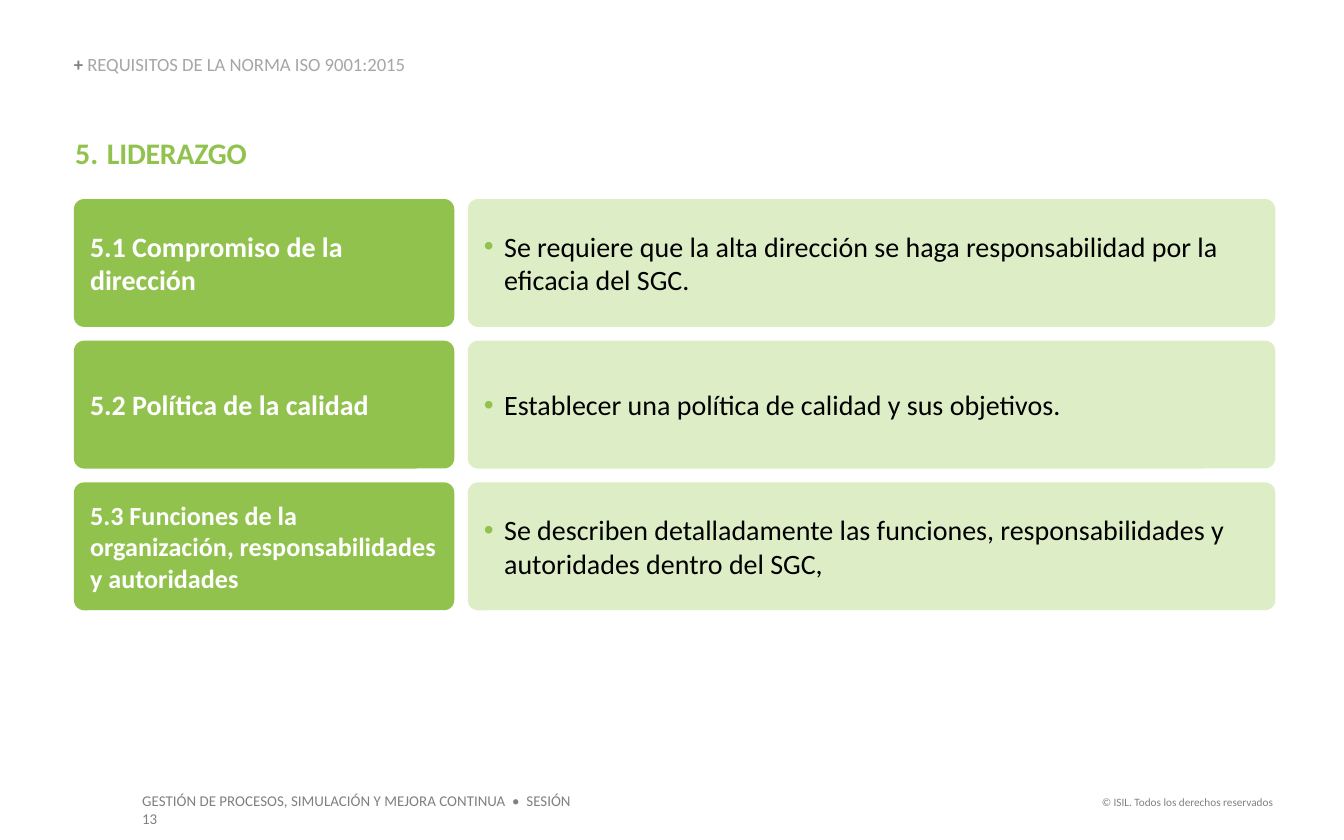
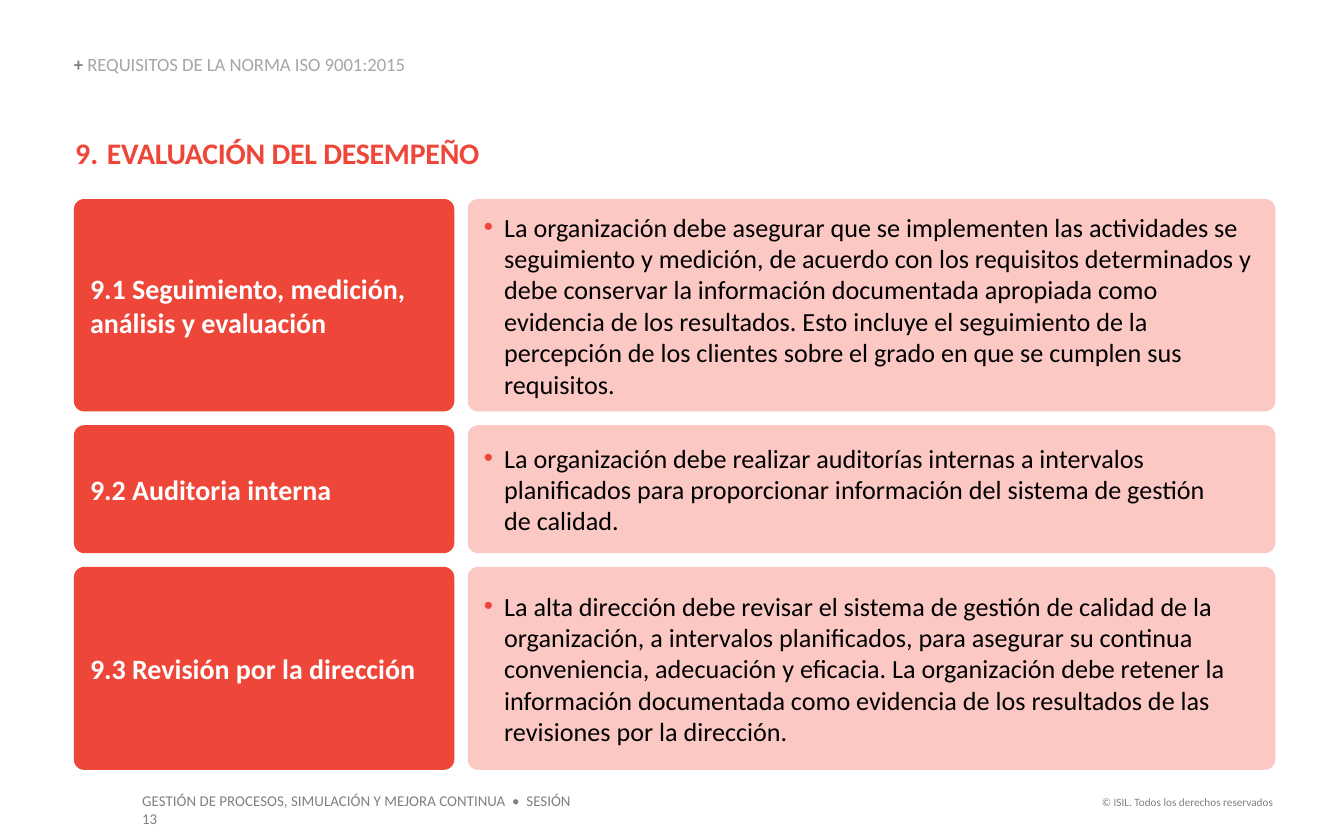
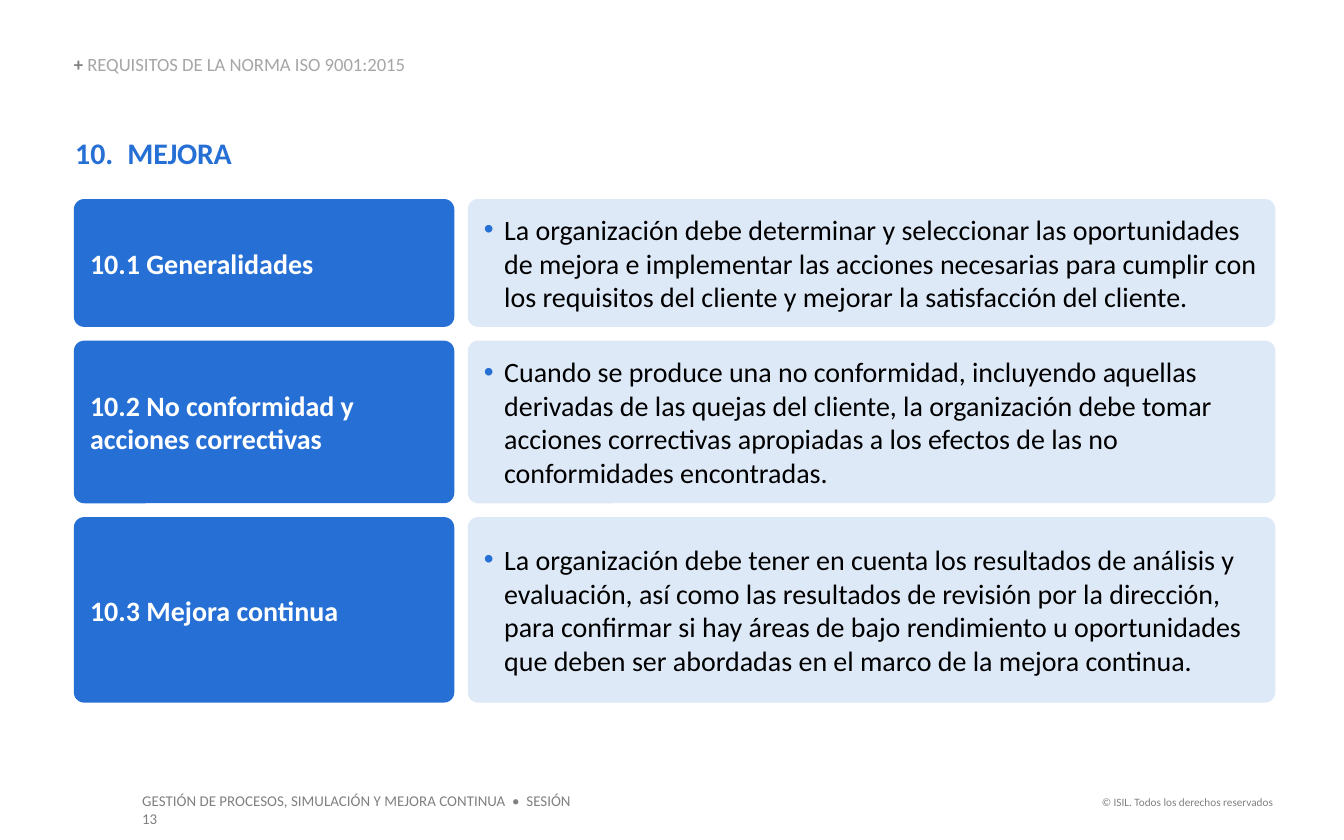
from dataclasses import dataclass

from lxml.etree import SubElement
from pptx import Presentation
from pptx.dml.color import RGBColor
from pptx.enum.shapes import MSO_SHAPE
from pptx.enum.text import MSO_ANCHOR, PP_ALIGN
from pptx.oxml.ns import qn
from pptx.util import Pt


@dataclass(frozen=True)
class Theme:
    font: str = "Calibri"
    white: str = "FFFFFF"
    black: str = "000000"
    gray: str = "808080"
    light_gray: str = "A6A6A6"
    green: str = "92C24E"
    pale_green: str = "DDEEC7"
    red: str = "EE4639"
    pale_red: str = "FBC8C4"
    blue: str = "2670D5"
    title_size: float = 16
    large_size: float = 15
    medium_size: float = 14
    header_size: float = 10
    footer_size: float = 8
    rights_size: float = 6


THEME = Theme()


@dataclass(frozen=True)
class Box:
    left: float
    top: float
    width: float
    height: float

    def lengths(self):
        return Pt(self.left), Pt(self.top), Pt(self.width), Pt(self.height)


@dataclass(frozen=True)
class Row:
    height: float
    label: str
    body: str
    label_size: float = THEME.large_size


@dataclass(frozen=True)
class Section:
    number: int
    title: str
    title_indent: float
    color: str
    tint: str
    rows: tuple
    body_size: float = THEME.large_size
    tint_opacity: int = 100


HEADER_BOX = Box(39.6, 29.5, 334.8, 10.8)
TITLE_BOX = Box(40.3, 72, 643, 19.4)
ROWS_BOX = Box(39.6, 106.6, 643.6, 304)
FOOTER_BOX = Box(69.1, 420.5, 254.2, 17.3)
RIGHTS_BOX = Box(581, 422.6, 108, 14.4)
LABEL_WIDTH = 203.8
COLUMN_GAP = 7.2
ROW_GAP = 7.4
CORNER_RADIUS = 5.5
BULLET_INDENT = 10.8

SECTIONS = (
    Section(5, "LIDERAZGO", 17, THEME.green, THEME.pale_green, (
        Row(68.5, "5.1 Compromiso de la dirección",
            "Se requiere que la alta dirección se haga responsabilidad por la eficacia del SGC."),
        Row(68.5, "5.2 Política de la calidad",
            "Establecer una política de calidad y sus objetivos."),
        Row(68.5, "5.3 Funciones de la organización, responsabilidades\ny autoridades",
            "Se describen detalladamente las funciones, responsabilidades y autoridades "
            "dentro del SGC,", THEME.medium_size),
    )),
    Section(9, "EVALUACIÓN DEL DESEMPEÑO", 17, THEME.red, THEME.pale_red, (
        Row(113.8, "9.1 Seguimiento, medición, análisis y evaluación",
            "La organización debe asegurar que se implementen las actividades se seguimiento y "
            "medición, de acuerdo con los requisitos determinados y debe conservar la información "
            "documentada apropiada como evidencia de los resultados. Esto incluye el seguimiento "
            "de la percepción de los clientes sobre el grado en que se cumplen sus requisitos."),
        Row(68.5, "9.2 Auditoria interna",
            "La organización debe realizar auditorías internas a intervalos planificados para "
            "proporcionar información del sistema de gestión \vde calidad."),
        Row(108.7, "9.3 Revisión por la dirección",
            "La alta dirección debe revisar el sistema de gestión de calidad de la organización, "
            "a intervalos planificados, para asegurar su continua conveniencia, adecuación y "
            "eficacia. La organización debe retener la información documentada como evidencia de "
            "los resultados de las revisiones por la dirección."),
    ), body_size=THEME.medium_size),
    Section(10, "MEJORA", 28, THEME.blue, THEME.blue, (
        Row(68.5, "10.1 Generalidades",
            "La organización debe determinar y seleccionar las oportunidades de mejora e "
            "implementar las acciones necesarias para cumplir con los requisitos del cliente y "
            "mejorar la satisfacción del cliente."),
        Row(87.1, "10.2 No conformidad y acciones correctivas",
            "Cuando se produce una no conformidad, incluyendo aquellas derivadas de las quejas "
            "del cliente, la organización debe tomar acciones correctivas apropiadas a los "
            "efectos de las no conformidades encontradas."),
        Row(99.4, "10.3 Mejora continua",
            "La organización debe tener en cuenta los resultados de análisis y evaluación, así "
            "como las resultados de revisión por la dirección, para confirmar si hay áreas de "
            "bajo rendimiento u oportunidades que deben ser abordadas en el marco de la mejora "
            "continua."),
    ), tint_opacity=15),
)


def style_span(span, size, color, bold=False):
    span.font.name = THEME.font
    span.font.size = Pt(size)
    span.font.bold = bold
    span.font.color.rgb = RGBColor.from_string(color)


def style_frame(frame, size, color, bold=False, align=PP_ALIGN.LEFT):
    for para in frame.paragraphs:
        para.alignment = align
        for span in para.runs:
            style_span(span, size, color, bold)


def set_indent(para, indent):
    properties = para._p.get_or_add_pPr()
    properties.set("marL", str(Pt(indent)))
    properties.set("indent", str(-Pt(indent)))
    return properties


def add_text(page, box, text, size, color, bold=False, align=PP_ALIGN.LEFT, inset=True):
    frame = page.shapes.add_textbox(*box.lengths()).text_frame
    frame.word_wrap = True
    if not inset:
        frame.margin_left = frame.margin_top = frame.margin_right = frame.margin_bottom = 0
    frame.text = text
    style_frame(frame, size, color, bold, align)
    return frame


def add_header(page, box):
    frame = add_text(page, box, "+ ", THEME.header_size, THEME.gray, bold=True, inset=False)
    frame.vertical_anchor = MSO_ANCHOR.BOTTOM
    para = frame.paragraphs[0]
    para.line_spacing = 0.9
    span = para.add_run()
    span.text = "REQUISITOS DE LA NORMA ISO 9001:2015"
    style_span(span, THEME.header_size, THEME.light_gray)


def add_title(page, box, section):
    frame = add_text(page, box, section.title, THEME.title_size, section.color,
                     bold=True, inset=False)
    para = frame.paragraphs[0]
    properties = set_indent(para, section.title_indent)
    SubElement(properties, qn("a:buFont"), typeface="+mj-lt")
    SubElement(properties, qn("a:buAutoNum"), type="arabicPeriod", startAt=str(section.number))
    para.runs[0]._r.get_or_add_rPr().set("spc", "-10")


def add_card(page, box, text, fill, opacity=100):
    card = page.shapes.add_shape(MSO_SHAPE.ROUNDED_RECTANGLE, *box.lengths())
    card.adjustments[0] = CORNER_RADIUS / box.height
    card.shadow.inherit = False
    card.fill.solid()
    card.fill.fore_color.rgb = RGBColor.from_string(fill)
    if opacity < 100:
        color = card.fill._xPr.find(qn("a:solidFill")).find(qn("a:srgbClr"))
        SubElement(color, qn("a:alpha"), val=str(opacity * 1000))
    card.line.fill.background()
    frame = card.text_frame
    frame.word_wrap = True
    frame.vertical_anchor = MSO_ANCHOR.MIDDLE
    frame.text = text
    return frame


def add_bullet(para, color):
    properties = set_indent(para, BULLET_INDENT)
    SubElement(SubElement(properties, qn("a:buClr")), qn("a:srgbClr"), val=color)
    SubElement(properties, qn("a:buFont"), typeface="Arial")
    SubElement(properties, qn("a:buChar"), char="•")


def add_row(page, box, row, section):
    label_box = Box(box.left, box.top, LABEL_WIDTH, box.height)
    label = add_card(page, label_box, row.label, section.color)
    style_frame(label, row.label_size, THEME.white, bold=True)

    offset = LABEL_WIDTH + COLUMN_GAP
    body_box = Box(box.left + offset, box.top, box.width - offset, box.height)
    body = add_card(page, body_box, row.body, section.tint, section.tint_opacity)
    add_bullet(body.paragraphs[0], section.color)
    style_frame(body, section.body_size, THEME.black)


def add_rows(page, box, section):
    top = box.top
    for row in section.rows:
        add_row(page, Box(box.left, top, box.width, row.height), row, section)
        top += row.height + ROW_GAP


def add_footer(page, footer_box, rights_box):
    add_text(page, rights_box, "© ISIL. Todos los derechos reservados",
             THEME.rights_size, THEME.gray, align=PP_ALIGN.RIGHT)
    add_text(page, footer_box, "GESTIÓN DE PROCESOS, SIMULACIÓN Y MEJORA CONTINUA  •  SESIÓN 13",
             THEME.footer_size, THEME.gray)


def add_section_page(deck, section):
    page = deck.slides.add_slide(deck.slide_layouts[6])
    add_footer(page, FOOTER_BOX, RIGHTS_BOX)
    add_header(page, HEADER_BOX)
    add_title(page, TITLE_BOX, section)
    add_rows(page, ROWS_BOX, section)


def main():
    deck = Presentation()
    deck.slide_width = Pt(720)
    deck.slide_height = Pt(450)
    for section in SECTIONS:
        add_section_page(deck, section)
    deck.save("out.pptx")


if __name__ == "__main__":
    main()
